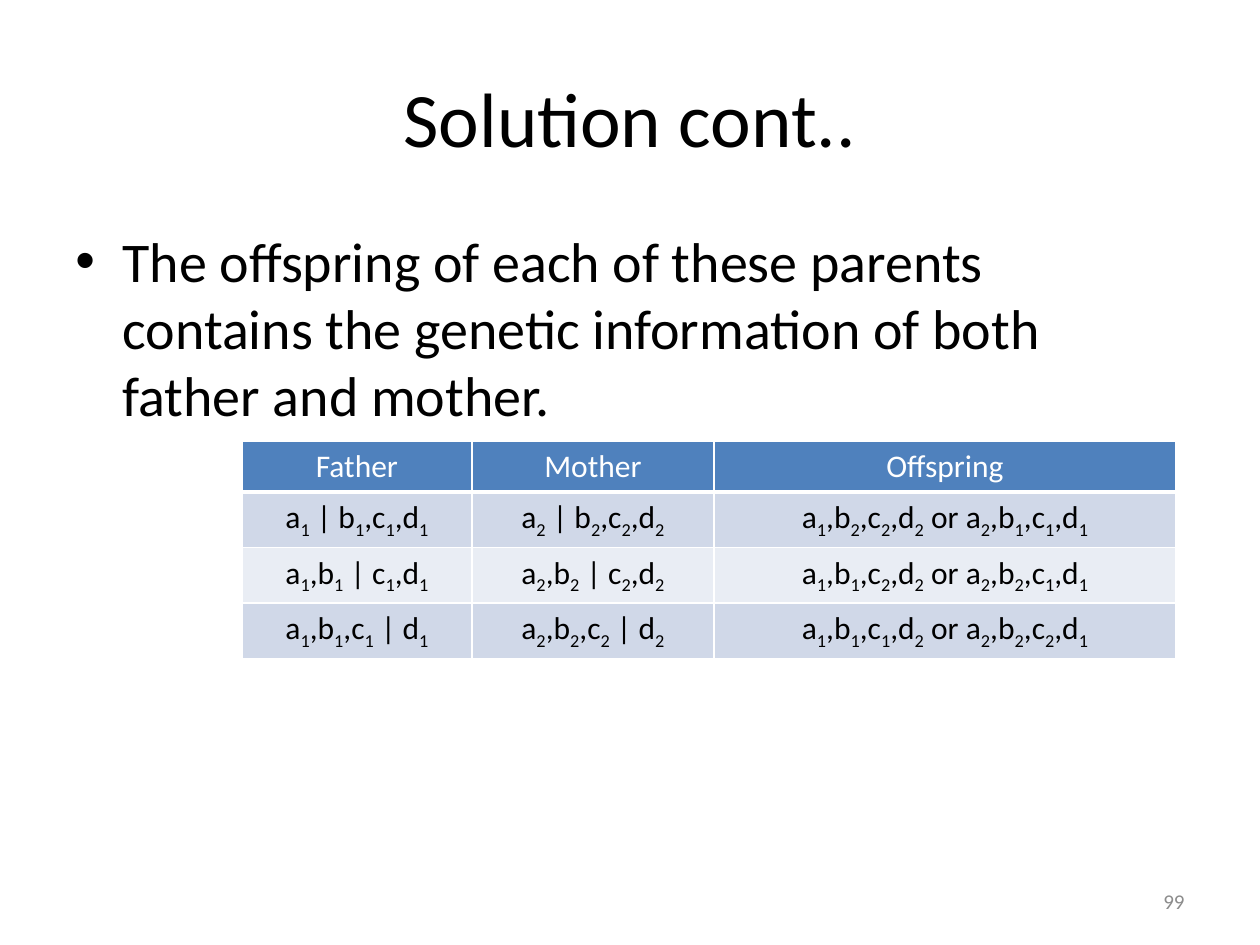
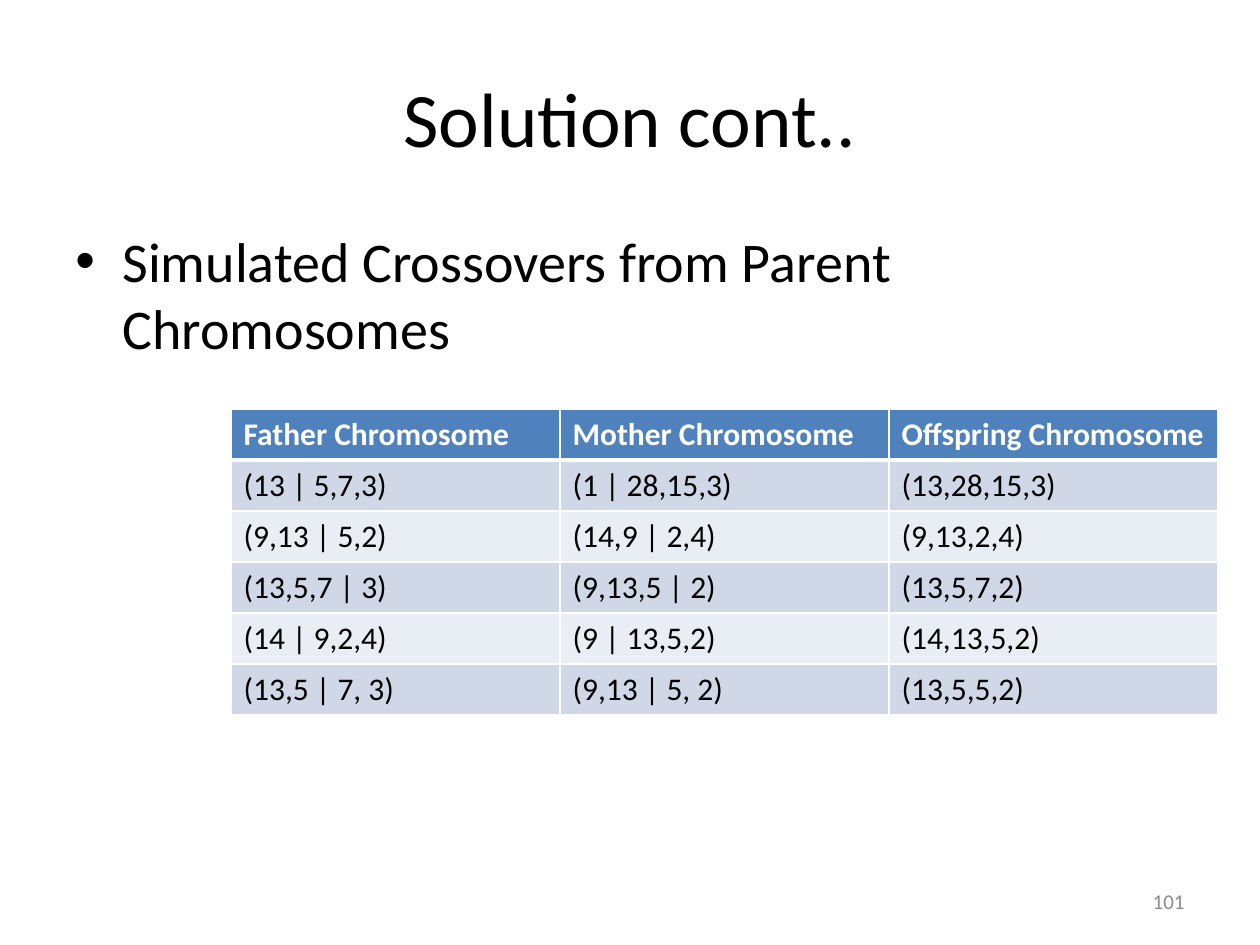
"""Build two slides on genetic crossover, each with a bullet and a table."""
import itertools

import pptx
import pptx.dml.color
import pptx.enum.text
import pptx.oxml.ns
import pptx.util
from lxml import etree

PX = 914400 / 126
FONT = "Calibri"
COLORS = {
    "text": "000000",
    "white": "FFFFFF",
    "header": "4F81BD",
    "odd_row": "D0D8E8",
    "even_row": "E9EDF4",
    "number": "8C8C8C",
}
ALIGN = pptx.enum.text.PP_ALIGN
ANCHOR = pptx.enum.text.MSO_ANCHOR
ROW_HEIGHT = 51
BULLET_INDENT = 47
QN = pptx.oxml.ns.qn

SLIDES = [
    {
        "bullet": "The offspring of each of these parents contains the genetic "
                  "information of both father and mother.",
        "number": "99",
        "left": 242, "top": 441, "columns": [230, 242, 462],
        "align": ALIGN.CENTER, "bold_header": False, "subscripts": True,
        "rows": [
            ["Father", "Mother", "Offspring"],
            ["a1 | b1,c1,d1", "a2 | b2,c2,d2", "a1,b2,c2,d2 or a2,b1,c1,d1"],
            ["a1,b1 | c1,d1", "a2,b2 | c2,d2", "a1,b1,c2,d2 or a2,b2,c1,d1"],
            ["a1,b1,c1 | d1", "a2,b2,c2 | d2", "a1,b1,c1,d2 or a2,b2,c2,d1"],
        ],
    },
    {
        "bullet": "Simulated Crossovers from Parent Chromosomes",
        "number": "101",
        "left": 231, "top": 409, "columns": [329] * 3,
        "align": ALIGN.LEFT, "bold_header": True, "subscripts": False,
        "rows": [
            ["Father Chromosome", "Mother Chromosome", "Offspring Chromosome"],
            ["(13 | 5,7,3)", "(1 | 28,15,3)", "(13,28,15,3)"],
            ["(9,13 | 5,2)", "(14,9 | 2,4)", "(9,13,2,4)"],
            ["(13,5,7 | 3)", "(9,13,5 | 2)", "(13,5,7,2)"],
            ["(14 | 9,2,4)", "(9 | 13,5,2)", "(14,13,5,2)"],
            ["(13,5 | 7, 3)", "(9,13 | 5, 2)", "(13,5,5,2)"],
        ],
    },
]


def format_runs(para, size, color, align, bold=False):
    para.alignment = align
    for span in para.runs:
        span.font.name = FONT
        span.font.size = pptx.util.Pt(size)
        span.font.bold = bold
        span.font.color.rgb = pptx.dml.color.RGBColor.from_string(COLORS[color])


def add_text(page, area, text, size, color, align, anchor):
    box = page.shapes.add_textbox(*[round(length * PX) for length in area])
    box.text_frame.word_wrap = True
    box.text_frame.vertical_anchor = anchor
    box.text_frame.text = text
    para = box.text_frame.paragraphs[0]
    format_runs(para, size, color, align)
    return para


deck = pptx.Presentation()
deck.slide_width = round(1260 * PX)
deck.slide_height = round(945 * PX)

for content in SLIDES:
    page = deck.slides.add_slide(deck.slide_layouts[6])
    add_text(page, (63, 38, 1134, 157), "Solution cont..", 44, "text",
             ALIGN.CENTER, ANCHOR.MIDDLE)

    para = add_text(page, (63, 220, 1029, 672), content["bullet"], 32, "text",
                    ALIGN.LEFT, ANCHOR.TOP)
    properties = para._p.get_or_add_pPr()
    properties.set("marL", str(round(BULLET_INDENT * PX)))
    properties.set("indent", str(round(-BULLET_INDENT * PX)))
    etree.SubElement(properties, QN("a:buFont"), typeface="Arial")
    etree.SubElement(properties, QN("a:buChar"), char="•")

    rows, columns = content["rows"], content["columns"]
    area = (content["left"], content["top"], sum(columns), ROW_HEIGHT * len(rows))
    table = page.shapes.add_table(
        len(rows), len(columns), *[round(length * PX) for length in area]).table
    for column, width in zip(table.columns, columns):
        column.width = round(width * PX)

    for row_index, row in enumerate(rows):
        table.rows[row_index].height = round(ROW_HEIGHT * PX)
        is_header = row_index == 0
        fill = "header" if is_header else "odd_row" if row_index % 2 else "even_row"
        for column_index, text in enumerate(row):
            cell = table.cell(row_index, column_index)
            cell.vertical_anchor = ANCHOR.MIDDLE
            para = cell.text_frame.paragraphs[0]
            if content["subscripts"]:
                for is_digit, letters in itertools.groupby(text, str.isdigit):
                    span = para.add_run()
                    span.text = "".join(letters)
                    if is_digit:
                        span._r.get_or_add_rPr().set("baseline", "-25000")
            else:
                para.text = text
            format_runs(para, 18, "white" if is_header else "text", content["align"],
                        is_header and content["bold_header"])

            cell_properties = cell._tc.get_or_add_tcPr()
            for side in "LRTB":
                weight = 3 if is_header and side == "B" else 1
                border = etree.SubElement(cell_properties, QN("a:ln" + side),
                                          w=str(pptx.util.Pt(weight)))
                paint = etree.SubElement(border, QN("a:solidFill"))
                etree.SubElement(paint, QN("a:srgbClr"), val=COLORS["white"])
            cell.fill.solid()
            cell.fill.fore_color.rgb = pptx.dml.color.RGBColor.from_string(COLORS[fill])

    add_text(page, (903, 876, 294, 50), content["number"], 12, "number",
             ALIGN.RIGHT, ANCHOR.MIDDLE)

deck.save("out.pptx")
